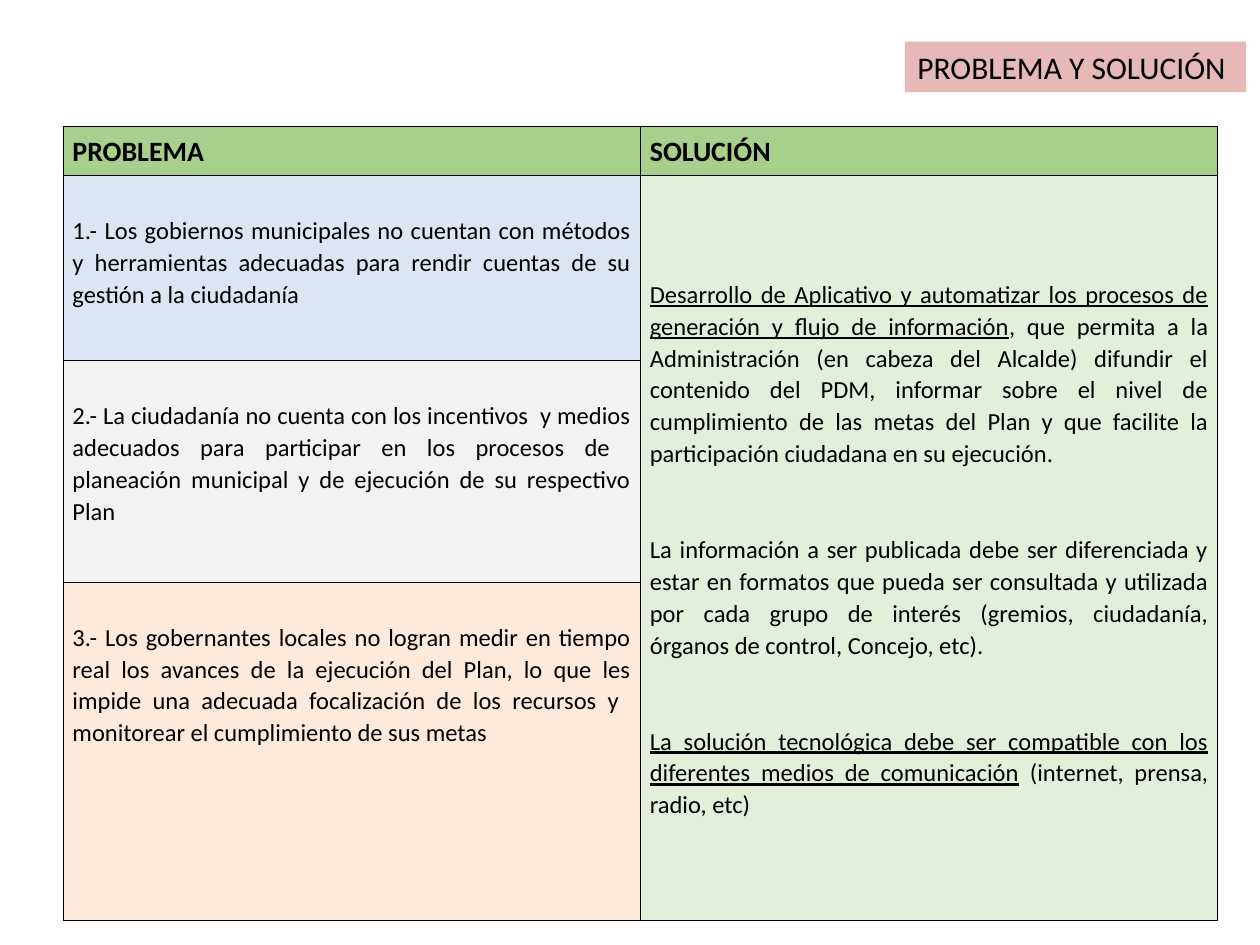
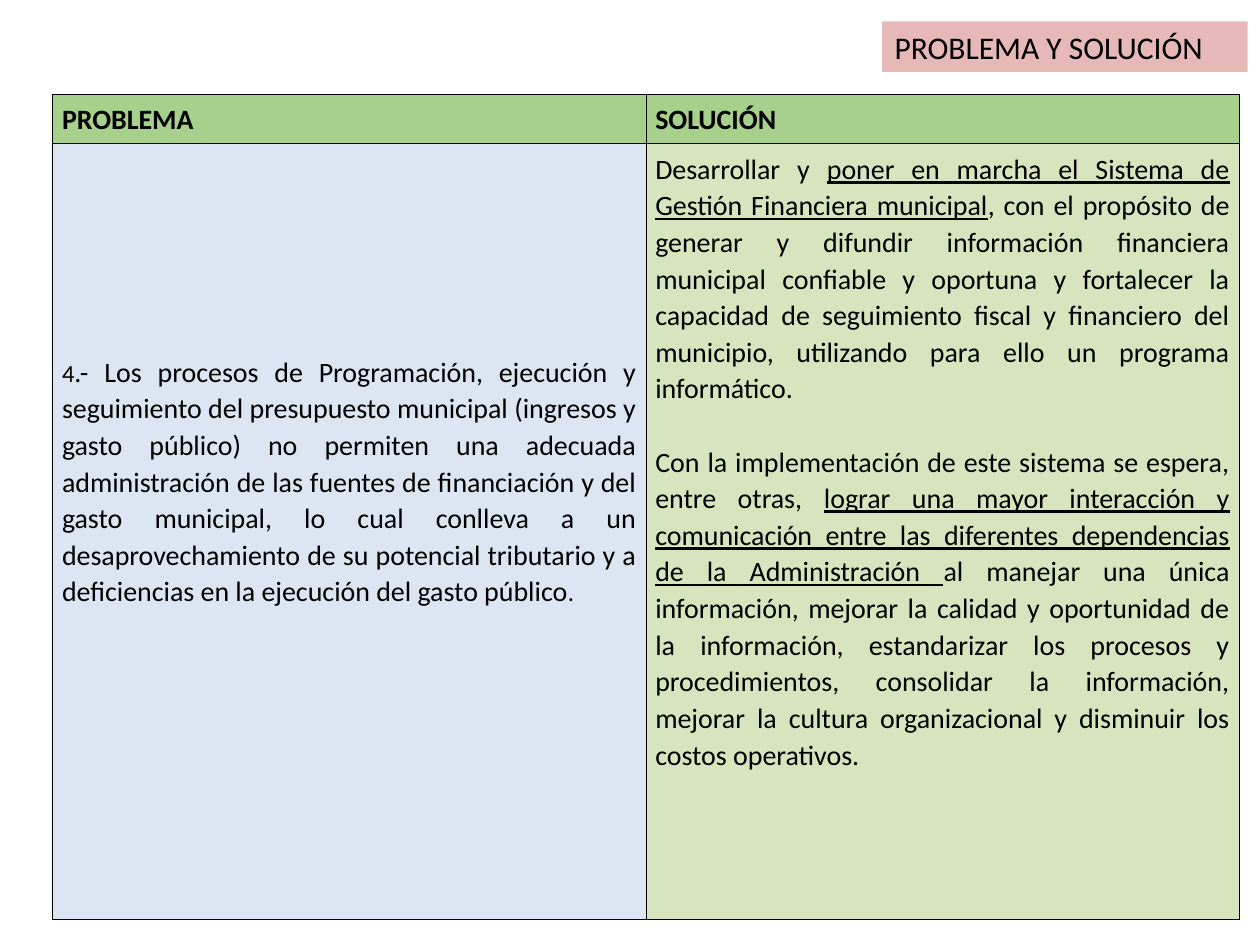
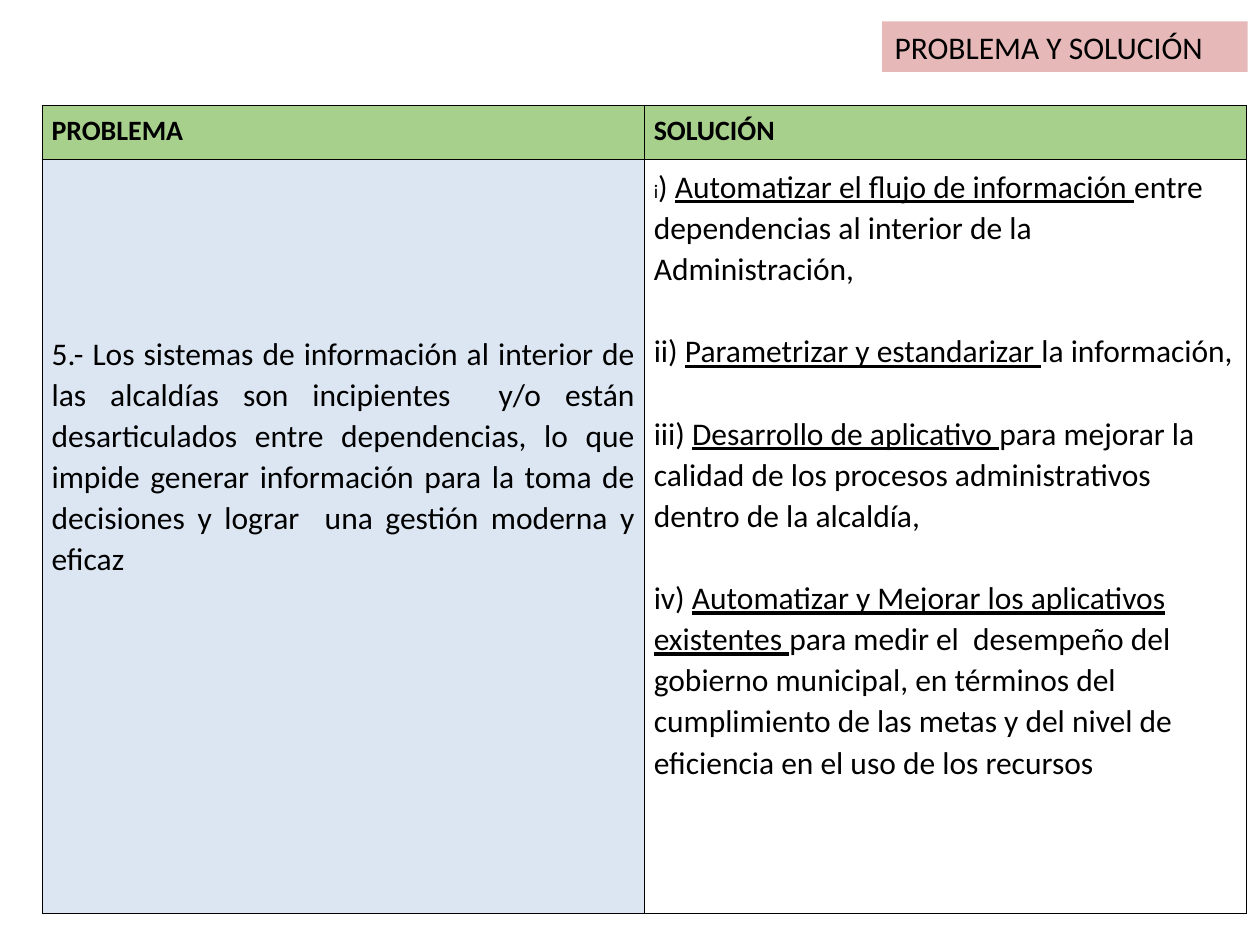
from dataclasses import dataclass

from lxml.etree import SubElement
from pptx import Presentation
from pptx.dml.color import RGBColor
from pptx.enum.text import MSO_ANCHOR, MSO_AUTO_SIZE, PP_ALIGN
from pptx.oxml.ns import qn
from pptx.util import Cm, Pt


@dataclass(frozen=True)
class Theme:
    font: str = "Calibri"
    text: str = "000000"
    title_fill: str = "E6B9B8"
    header_fill: str = "A8D08D"
    blue: str = "DCE6F2"
    grey: str = "F2F2F2"
    peach: str = "FDEADA"
    pale_green: str = "E2EFD9"
    olive: str = "D7E4BD"
    title_size: float = 18
    header_size: float = 16
    line_spacing: float = 1.07
    border_width: float = 0.45


@dataclass(frozen=True)
class Run:
    text: str
    underline: bool = False
    size: float = None


@dataclass(frozen=True)
class Body:
    """Cell content: lead and gap are the points above the first and the later paragraphs."""
    paragraphs: list
    size: float
    fill: str = None
    lead: float = 0
    gap: float = 0
    align: PP_ALIGN = PP_ALIGN.JUSTIFY


THEME = Theme()
TITLE = "PROBLEMA Y SOLUCIÓN"
HEADERS = ("PROBLEMA", "SOLUCIÓN")
TITLE_HEIGHT = 1.02
MARGIN_SIDE, MARGIN_TOP = Cm(0.19), Cm(0.13)

# Lengths in centimetres; a solution cell spans every problem beside it.
SLIDES = [
    {
        "title_box": (18.24, 0.84, 6.88),
        "table_at": (1.27, 2.54),
        "column_width": 11.64,
        "row_heights": (0.87, 3.73, 4.47, 6.81),
        "problems": [
            Body([[Run("1.- Los gobiernos municipales no cuentan con métodos y herramientas adecuadas "
                       "para rendir cuentas de su gestión a la ciudadanía")]],
                 14, THEME.blue, lead=18.3),
            Body([[Run("2.- La ciudadanía no cuenta con los incentivos  y medios adecuados para participar "
                       "en los procesos de  planeación municipal y de ejecución de su respectivo Plan")]],
                 14, THEME.grey, lead=18.3),
            Body([[Run("3.- Los gobernantes locales no logran medir en tiempo real los avances de la "
                       "ejecución del Plan, lo que les impide una adecuada focalización de los recursos y  "
                       "monitorear el cumplimiento de sus metas")]],
                 14, THEME.peach, lead=18.3),
        ],
        "solution": Body([
            [Run("Desarrollo de Aplicativo y automatizar los procesos de generación y flujo de información",
                 underline=True),
             Run(", que permita a la Administración (en cabeza del Alcalde) difundir el contenido del PDM, "
                 "informar sobre el nivel de cumplimiento de las metas del Plan y que facilite la "
                 "participación ciudadana en su ejecución.")],
            [Run("La información a ser publicada debe ser diferenciada y estar en formatos que pueda ser "
                 "consultada y utilizada por cada grupo de interés (gremios, ciudadanía, órganos de control, "
                 "Concejo, etc).")],
            [Run("La solución tecnológica debe ser compatible con los diferentes medios de comunicación",
                 underline=True),
             Run(" (internet, prensa, radio, etc)")],
        ], 14, THEME.pale_green, lead=54.8, gap=36.5),
    },
    {
        "title_box": (17.78, 0.43, 7.37),
        "table_at": (1.06, 1.9),
        "column_width": 11.96,
        "row_heights": (0.87, 15.64),
        "problems": [
            Body([[Run("4", size=14),
                   Run(".- Los procesos de Programación, ejecución y seguimiento del presupuesto municipal "
                       "(ingresos y gasto público) no permiten una adecuada administración de las fuentes de "
                       "financiación y del gasto municipal, lo cual conlleva a un desaprovechamiento de su "
                       "potencial tributario y a deficiencias en la ejecución del gasto público"),
                   Run(".", size=14)]],
                 16, THEME.blue, lead=116),
        ],
        "solution": Body([
            [Run("Desarrollar y "),
             Run("poner en marcha el Sistema de Gestión Financiera municipal", underline=True),
             Run(", con el propósito de generar y difundir información financiera municipal confiable y "
                 "oportuna y fortalecer la capacidad de seguimiento fiscal y financiero del municipio, "
                 "utilizando para ello un programa informático.")],
            [Run("Con la implementación de este sistema se espera, entre otras, "),
             Run("lograr una mayor interacción y comunicación entre las diferentes dependencias de la "
                 "Administración ", underline=True),
             Run("al manejar una única información, mejorar la calidad y oportunidad de la información, "
                 "estandarizar los procesos y procedimientos, consolidar la información, mejorar la cultura "
                 "organizacional y disminuir los costos operativos.")],
        ], 16, THEME.olive, gap=20.9),
    },
    {
        "title_box": (17.78, 0.43, 7.37),
        "table_at": (0.85, 2.12),
        "column_width": 12.14,
        "row_heights": (1.09, 15.21),
        "problems": [
            Body([[Run("5.- Los sistemas de información al interior de las alcaldías son incipientes  y/o están "
                       "desarticulados entre dependencias, lo que impide generar información para la toma de "
                       "decisiones y lograr  una gestión moderna y eficaz")]],
                 18, THEME.blue, lead=95.3),
        ],
        "solution": Body([
            [Run("i", size=11), Run(") "),
             Run("Automatizar el flujo de información ", underline=True),
             Run("entre dependencias al interior de la Administración,")],
            [Run("ii) "), Run("Parametrizar y estandarizar ", underline=True), Run("la información,")],
            [Run("iii) "), Run("Desarrollo de aplicativo ", underline=True),
             Run("para mejorar la calidad de los procesos administrativos dentro de la alcaldía,")],
            [Run("iv) "), Run("Automatizar y Mejorar los aplicativos existentes ", underline=True),
             Run("para medir el  desempeño del gobierno municipal, en términos del cumplimiento de las metas "
                 "y del nivel de eficiencia en el uso de los recursos")],
        ], 18, gap=23.5, align=PP_ALIGN.LEFT),
    },
]


def style_font(paragraph, size, bold=False):
    font = paragraph.font
    font.name, font.size, font.bold = THEME.font, Pt(size), bold
    font.color.rgb = RGBColor.from_string(THEME.text)


def fill_with(target, color):
    if color is None:
        target.fill.background()
    else:
        target.fill.solid()
        target.fill.fore_color.rgb = RGBColor.from_string(color)


def add_borders(cell):
    """Draw the four cell edges; they must come before the fill in the cell properties."""
    properties = cell._tc.get_or_add_tcPr()
    for position, edge in enumerate(("a:lnL", "a:lnR", "a:lnT", "a:lnB")):
        line = SubElement(properties, qn(edge), w=str(Pt(THEME.border_width)))
        color = SubElement(SubElement(line, qn("a:solidFill")), qn("a:srgbClr"))
        color.set("val", THEME.text)
        properties.insert(position, line)


def write_body(cell, body):
    fill_with(cell, body.fill)
    cell.margin_top = MARGIN_TOP + Pt(body.lead)
    frame = cell.text_frame
    for index, runs in enumerate(body.paragraphs):
        paragraph = frame.add_paragraph() if index else frame.paragraphs[0]
        paragraph.alignment = body.align
        paragraph.line_spacing = THEME.line_spacing
        if index:
            paragraph.space_before = Pt(body.gap)
        style_font(paragraph, body.size)
        for item in runs:
            run = paragraph.add_run()
            run.text = item.text
            if item.underline:
                run.font.underline = True
            if item.size:
                run.font.size = Pt(item.size)


def write_header(cell, text):
    fill_with(cell, THEME.header_fill)
    cell.text = text
    paragraph = cell.text_frame.paragraphs[0]
    paragraph.line_spacing = THEME.line_spacing
    style_font(paragraph, THEME.header_size, bold=True)


def place_title(slide, box):
    title = slide.shapes.title
    left, top, width = box
    title.left, title.top, title.width, title.height = Cm(left), Cm(top), Cm(width), Cm(TITLE_HEIGHT)
    fill_with(title, THEME.title_fill)
    frame = title.text_frame
    frame.text = TITLE
    frame.word_wrap = True
    frame.auto_size = MSO_AUTO_SIZE.NONE
    frame.vertical_anchor = MSO_ANCHOR.MIDDLE
    paragraph = frame.paragraphs[0]
    paragraph.alignment = PP_ALIGN.LEFT
    style_font(paragraph, THEME.title_size)


def add_problem_table(slide, content):
    heights = content["row_heights"]
    left, top = content["table_at"]
    width = content["column_width"]
    table = slide.shapes.add_table(len(heights), len(HEADERS), Cm(left), Cm(top),
                                   Cm(width * len(HEADERS)), Cm(sum(heights))).table
    table.first_row = table.horz_banding = False
    for column in table.columns:
        column.width = Cm(width)
    for row, height in zip(table.rows, heights):
        row.height = Cm(height)
    for cell in table.iter_cells():
        cell.margin_left = cell.margin_right = MARGIN_SIDE
        cell.margin_top = cell.margin_bottom = MARGIN_TOP
        add_borders(cell)

    for column, text in enumerate(HEADERS):
        write_header(table.cell(0, column), text)
    for row, problem in enumerate(content["problems"], start=1):
        write_body(table.cell(row, 0), problem)
    solution_cell = table.cell(1, 1)
    if len(content["problems"]) > 1:
        solution_cell.merge(table.cell(len(heights) - 1, 1))
    write_body(solution_cell, content["solution"])


def main():
    presentation = Presentation()
    presentation.slide_width, presentation.slide_height = Cm(25.4), Cm(19.05)
    title_only = presentation.slide_layouts[5]
    for content in SLIDES:
        slide = presentation.slides.add_slide(title_only)
        place_title(slide, content["title_box"])
        add_problem_table(slide, content)
    presentation.save("out.pptx")


if __name__ == "__main__":
    main()
